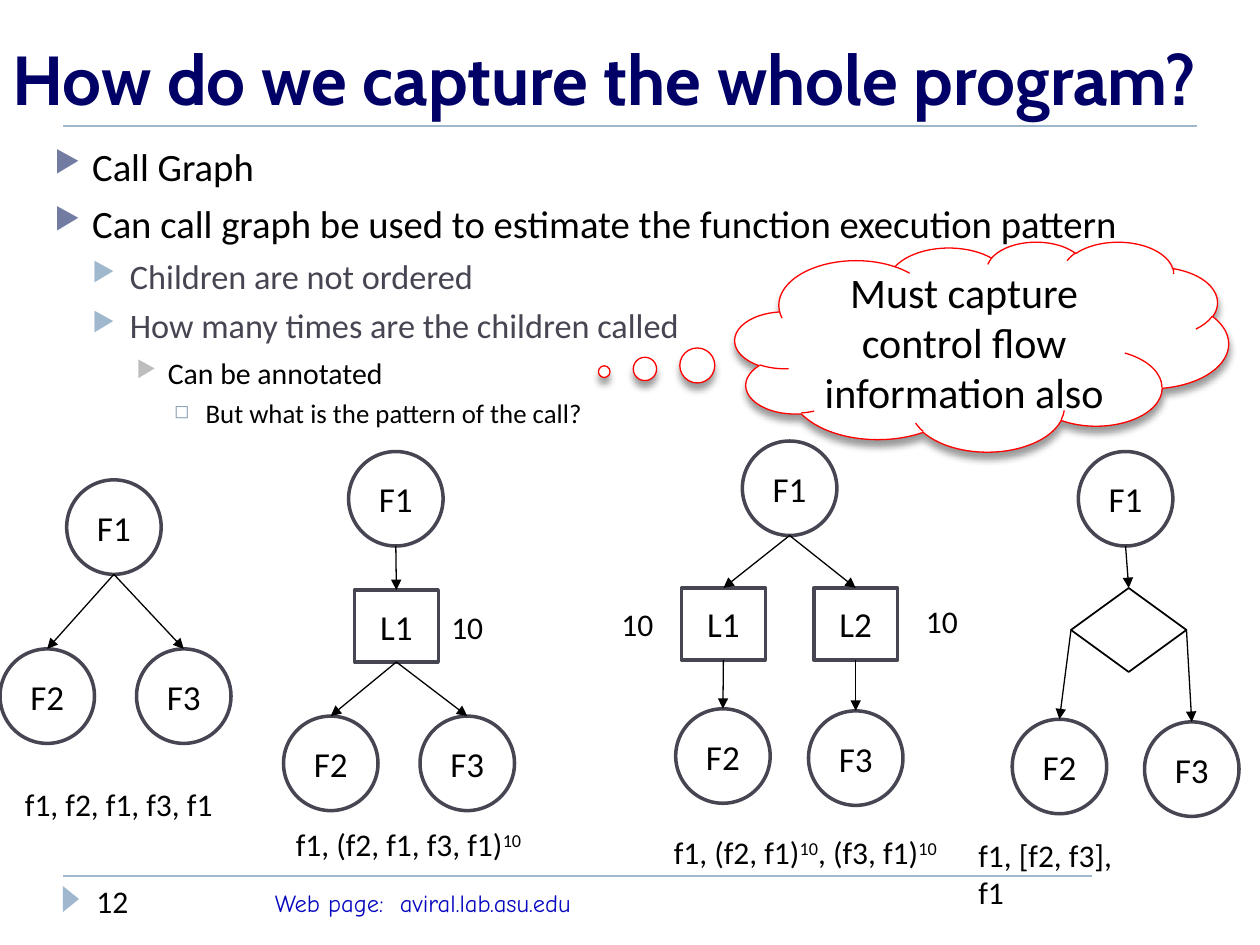
from lxml.etree import SubElement
from pptx import Presentation
from pptx.dml.color import RGBColor as RGB
from pptx.enum.shapes import MSO_CONNECTOR, MSO_SHAPE as SHAPE
from pptx.enum.text import MSO_ANCHOR as ANCHOR, MSO_AUTO_SIZE as AUTO, PP_ALIGN as ALIGN
from pptx.oxml.ns import qn
from pptx.util import Inches, Pt

COLORS = {
    "black": "000000", "white": "FFFFFF", "title": "000066", "web": "0808C0",
    "rule": "9FB8CD", "node": "464653", "cloud": "FF0000",
    "bullet1": "727CA3", "bullet3": "BDBDBD", "bullet4": "8CA2B5",
}
C = {name: RGB.from_string(value) for name, value in COLORS.items()}

prs = Presentation()
prs.slide_width, prs.slide_height = Inches(10), Inches(7.5)
U = prs.slide_width / 120  # square grid: 120 columns by 90 rows
s = prs.slides.add_slide(prs.slide_layouts[5])


def add_runs(p, text, size, color="black", font="Calibri", bold=False):
    """Add text to p; parts between ^ marks become superscript."""
    for i, part in enumerate(text.split("^")):
        if part:
            r = p.add_run()
            r.text = part
            r.font.size, r.font.name, r.font.bold = Pt(size), font, bold
            r.font.color.rgb = C[color]
            if i % 2:
                r._r.get_or_add_rPr().set("baseline", "30000")


def add_line(start, end, color="black", width=0.75, arrow=True):
    """Draw a connector between two grid points."""
    c = s.shapes.add_connector(MSO_CONNECTOR.STRAIGHT, *[round(v * U) for v in (*start, *end)])
    c.line.color.rgb, c.line.width = C[color], Pt(width)
    if arrow:
        SubElement(c.line._get_or_add_ln(), qn("a:tailEnd"), type="triangle")
    SubElement(c._element.spPr, qn("a:effectLst"))
    return c


# Rules, footer and title
add_line((6, 83.4), (104, 83.4), "rule", 1, arrow=False)
add_line((6, 12), (114, 12), "rule", 1, arrow=False)

marker = s.shapes.add_shape(
    SHAPE.ISOSCELES_TRIANGLE, *[round(v * U) for v in (5.5, 84.85, 2.5, 1.55)])
marker.rotation = 90
marker.shadow.inherit = False
marker.fill.solid()
marker.fill.fore_color.rgb = C["rule"]
marker.line.fill.background()

title = s.shapes.title
title.left, title.top, title.width, title.height = 0, 0, prs.slide_width, round(12 * U)
tf = title.text_frame
tf.auto_size, tf.vertical_anchor, tf.word_wrap = AUTO.NONE, ANCHOR.BOTTOM, True
tf.paragraphs[0].alignment = ALIGN.LEFT
add_runs(tf.paragraphs[0], "How do we capture the whole program?", 39.6, "title", "Cabin", True)

# Bulleted body: text size, colour, space before, indent, hanging, bullet
LEVELS = [
    (22.1, "black", 6, 0.3, 0.3, "▶", "bullet1", 76),
    (19.6, "node", 5, 0.6, 0.3, "▶", "rule", 76),
    (17, "black", 5, 0.9, 0.25, "▶", "bullet3", 76),
    (15.3, "black", 4, 1.2, 0.25, "◻", "bullet4", 70),
]
BODY = [
    (0, "Call Graph"),
    (0, "Can call graph be used to estimate the function execution pattern"),
    (1, "Children are not ordered"),
    (1, "How many times are the children called"),
    (2, "Can be annotated"),
    (3, "But what is the pattern of the call?"),
]
tf = s.shapes.add_textbox(*[round(v * U) for v in (4, 13, 108, 29)]).text_frame
tf.word_wrap = True
for i, (level, text) in enumerate(BODY):
    size, color, before, indent, hanging, char, bullet, percent = LEVELS[level]
    p = tf.paragraphs[0] if i == 0 else tf.add_paragraph()
    p.level = level
    pPr = p._p.get_or_add_pPr()
    pPr.set("marL", str(Inches(indent)))
    pPr.set("indent", str(-Inches(hanging)))
    SubElement(SubElement(pPr, qn("a:buClr")), qn("a:srgbClr"), val=COLORS[bullet])
    SubElement(pPr, qn("a:buSzPct"), val=str(percent * 1000))
    SubElement(pPr, qn("a:buChar"), char=char)
    if i:
        p.space_before = Pt(before)
    add_runs(p, text, size, color)

# Thought cloud
cloud = s.shapes.add_shape(SHAPE.CLOUD_CALLOUT, *[round(v * U) for v in (70, 23, 47, 20)])
cloud.adjustments[0], cloud.adjustments[1] = -0.765, 0.12
cloud.fill.solid()
cloud.fill.fore_color.rgb = C["white"]
cloud.line.color.rgb, cloud.line.width = C["cloud"], Pt(0.75)
effects = SubElement(cloud._element.spPr, qn("a:effectLst"))
shadow = SubElement(effects, qn("a:outerShdw"), blurRad=str(Pt(4)), dist=str(Pt(3.4)),
                    dir="5400000", rotWithShape="0")
shade = SubElement(shadow, qn("a:srgbClr"), val=COLORS["black"])
SubElement(shade, qn("a:alpha"), val="40000")
tf = cloud.text_frame
tf.word_wrap, tf.vertical_anchor = True, ANCHOR.MIDDLE
tf.paragraphs[0].alignment = ALIGN.CENTER
add_runs(tf.paragraphs[0], "Must capture control flow information also", 24)

# Graphs: nodes as (label, column, row), edges as (from, to, side of the start)
KINDS = {  # first letter: shape, width, height, line colour, line width
    "F": (SHAPE.OVAL, 9, 9, "node", 2),
    "L": (SHAPE.RECTANGLE, 8, 6.85, "node", 2),
    "D": (SHAPE.DIAMOND, 11, 8, "black", 1),
}
BOTTOM, LEFT, RIGHT = 2, 1, 3
GRAPHS = [
    ([("F1", 6.35, 45.7), ("F2", 0, 61.8), ("F3", 13, 61.8)],
     [("F1", "F2", BOTTOM), ("F1", "F3", BOTTOM)]),
    ([("F1", 33.2, 43), ("L1", 33.75, 56.2), ("F2", 27, 68.2), ("F3", 40, 68.2)],
     [("F1", "L1", BOTTOM), ("L1", "F2", BOTTOM), ("L1", "F3", BOTTOM)]),
    ([("F1", 70.7, 42), ("L1", 64.9, 56), ("L2", 77.5, 56), ("F2", 64.35, 67.5), ("F3", 77, 67.7)],
     [("F1", "L1", BOTTOM), ("F1", "L2", BOTTOM), ("L1", "F2", BOTTOM), ("L2", "F3", BOTTOM)]),
    ([("F1", 102.7, 43), ("D", 102, 56), ("F2", 96.4, 68.5), ("F3", 109, 68.75)],
     [("F1", "D", BOTTOM), ("D", "F2", LEFT), ("D", "F3", RIGHT)]),
]
for nodes, edges in GRAPHS:
    shapes, sides = {}, {}
    for label, x, y in nodes:
        kind, w, h, color, width = KINDS[label[0]]
        sp = s.shapes.add_shape(kind, *[round(v * U) for v in (x, y, w, h)])
        sp.shadow.inherit = False
        sp.fill.background()
        sp.line.color.rgb, sp.line.width = C[color], Pt(width)
        if label != "D":
            tf = sp.text_frame
            tf.vertical_anchor = ANCHOR.MIDDLE
            tf.paragraphs[0].alignment = ALIGN.CENTER
            add_runs(tf.paragraphs[0], label, 20)
        shapes[label] = sp
        sides[label] = [(x + w / 2, y), (x, y + h / 2), (x + w / 2, y + h), (x + w, y + h / 2)]
    for a, b, side in edges:
        c = add_line(sides[a][side], sides[b][0])
        if a[0] != "F":  # an oval numbers its sides differently
            c.begin_connect(shapes[a], side)
        c.end_connect(shapes[b], 0)

# Loop counts, call sequences and footer texts: text, column, row, width, wrap
LABELS = [
    ("10", 41.8, 57.3, 5.8, False),
    ("10", 58, 57, 5.8, False),
    ("10", 87, 56.75, 5.8, False),
    ("f1, f2, f1, f3, f1", 1.2, 74.2, 21.4, True),
    ("f1, (f2, f1, f3, f1)^10^", 27, 78, 25, True),
    ("f1, (f2, f1)^10^, (f3, f1)^10^", 63, 78.75, 29, True),
    ("f1, [f2, f3], f1", 92, 79, 18, True),
    ("12", 8, 83.4, 17, True),
    ("Web page:  aviral.lab.asu.edu", 25, 84, 45, True),
]
for text, x, y, w, wrap in LABELS:
    tf = s.shapes.add_textbox(*[round(v * U) for v in (x, y, w, 4.8)]).text_frame
    tf.word_wrap = wrap
    style = (14, "web", "Comic Neue") if text.startswith("Web") else (18,)
    add_runs(tf.paragraphs[0], text, *style)

prs.save("out.pptx")
